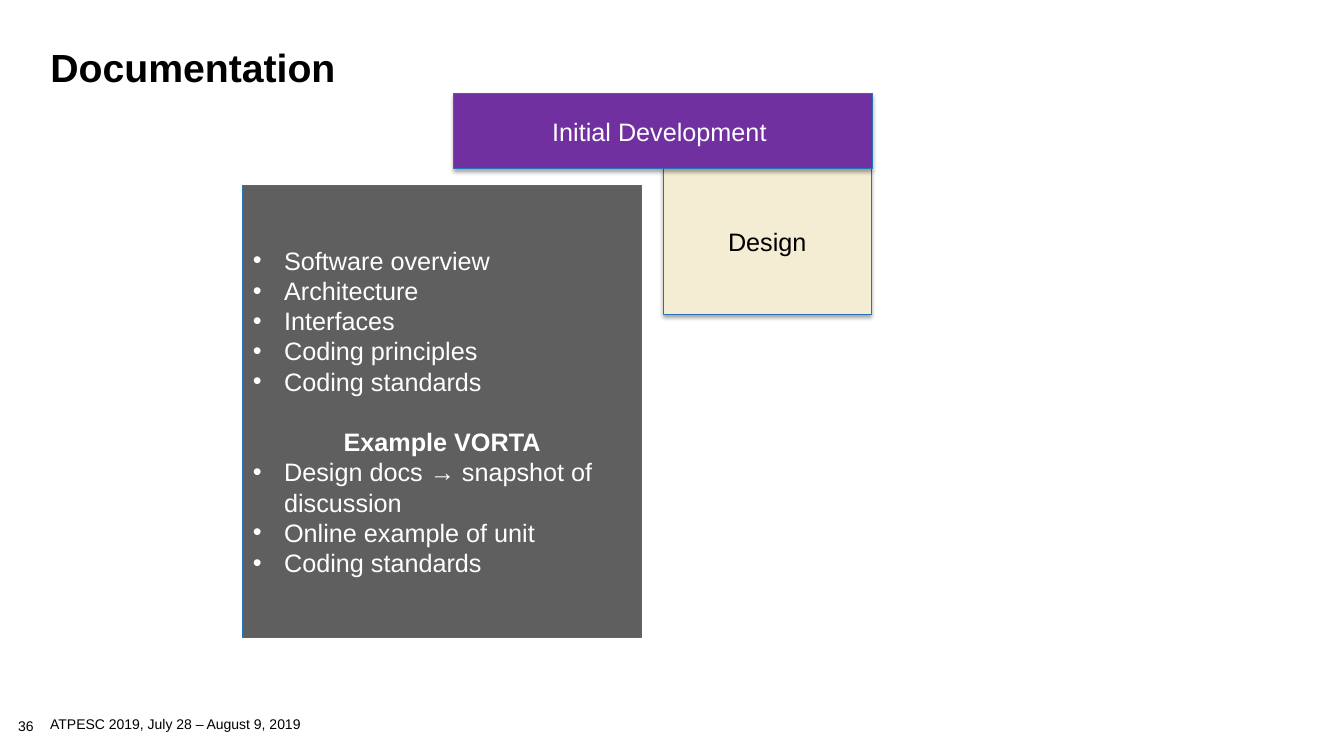
"""Build the Documentation slide."""
from dataclasses import dataclass

from lxml import etree
from pptx import Presentation
from pptx import util as u
from pptx.dml.color import RGBColor
from pptx.enum import shapes, text
from pptx.oxml.ns import qn


@dataclass(frozen=True)
class Theme:
    font: str = "Arial"
    black: str = "000000"
    white: str = "FFFFFF"
    cream: str = "F5ECD4"
    grey: str = "5F5F5F"
    purple: str = "7030A0"
    outline: str = "2673BA"
    title_size: float = 28
    body_size: float = 18
    footer_size: float = 10


T = Theme()


@dataclass(frozen=True)
class Para:
    text: str
    bullet: bool = False
    bold: bool = False
    gap: float = 0


@dataclass(frozen=True)
class Box:
    at: tuple[float, float, float, float]
    fill: str
    color: str
    paras: list[Para]
    shadow: bool = False


@dataclass(frozen=True)
class Footer:
    at: tuple[float, float, float, float]
    text: str
    inset: tuple[float, float]
    anchor: text.MSO_ANCHOR


def bullets(*items: str) -> list[Para]:
    """Turn strings into bulleted paragraphs."""
    return [Para(item, bullet=True) for item in items]


BOXES = [
    Box((6.58, 1.67, 2.06, 1.45), T.cream, T.black, [Para("Design")], shadow=True),
    Box((2.41, 1.84, 3.95, 4.48), T.grey, T.white, [
        *bullets("Software overview", "Architecture", "Interfaces",
                 "Coding principles", "Coding standards"),
        Para("Example VORTA", bold=True, gap=21.6),
        *bullets("Design docs → snapshot of discussion",
                 "Online example of unit", "Coding standards"),
    ]),
    Box((4.5, 0.93, 4.15, 0.74), T.purple, T.white,
        [Para("Initial Development ")], shadow=True),
]

FOOTERS = [
    Footer((0.18, 7.12, 0.56, 0.16), "36", (0, 0), text.MSO_ANCHOR.TOP),
    Footer((0.4, 7.08, 3.63, 0.2), "ATPESC 2019, July 28 – August 9, 2019",
           (0.1, 0.05), text.MSO_ANCHOR.MIDDLE),
]


def inches(at: tuple[float, ...]) -> list[u.Length]:
    """Convert numbers to lengths."""
    return [u.Inches(v) for v in at]


def set_frame(tf, inset: tuple[float, float], anchor: text.MSO_ANCHOR) -> None:
    """Set wrapping, margins and anchor of a text frame."""
    tf.word_wrap = True
    tf.auto_size = text.MSO_AUTO_SIZE.NONE
    tf.vertical_anchor = anchor
    tf.margin_left = tf.margin_right = u.Inches(inset[0])
    tf.margin_top = tf.margin_bottom = u.Inches(inset[1])


def add_run(p, content: str, size: float, color: str, bold: bool = False) -> None:
    """Append a formatted run to a paragraph."""
    r = p.add_run()
    r.text = content
    r.font.name = T.font
    r.font.size = u.Pt(size)
    r.font.bold = bold
    r.font.color.rgb = RGBColor.from_string(color)


def add_bullet(p) -> None:
    """Give a paragraph a hanging bullet."""
    pPr = p._p.get_or_add_pPr()
    pPr.set("marL", str(u.Inches(0.31)))
    pPr.set("indent", str(u.Inches(-0.31)))
    etree.SubElement(pPr, qn("a:buFont"), typeface=T.font)
    etree.SubElement(pPr, qn("a:buChar"), char="•")


def add_shadow(sp) -> None:
    """Add a soft shadow below a shape."""
    effects = sp._element.spPr.find(qn("a:effectLst"))
    shadow = etree.SubElement(effects, qn("a:outerShdw"), blurRad=str(u.Pt(3.1)),
                              dist=str(u.Pt(1.8)), dir="5400000", rotWithShape="0")
    color = etree.SubElement(shadow, qn("a:srgbClr"), val=T.black)
    etree.SubElement(color, qn("a:alpha"), val="35000")


def add_box(s, box: Box) -> None:
    """Draw a filled rectangle with its paragraphs."""
    sp = s.shapes.add_shape(shapes.MSO_SHAPE.RECTANGLE, *inches(box.at))
    sp.fill.solid()
    sp.fill.fore_color.rgb = RGBColor.from_string(box.fill)
    sp.line.color.rgb = RGBColor.from_string(T.outline)
    sp.line.width = u.Pt(0.75)
    sp.shadow.inherit = False
    if box.shadow:
        add_shadow(sp)
    tf = sp.text_frame
    set_frame(tf, (0.1, 0.05), text.MSO_ANCHOR.MIDDLE)
    for i, para in enumerate(box.paras):
        p = tf.add_paragraph() if i else tf.paragraphs[0]
        p.alignment = text.PP_ALIGN.LEFT if para.bullet else text.PP_ALIGN.CENTER
        p.space_before = u.Pt(para.gap)
        if para.bullet:
            add_bullet(p)
        add_run(p, para.text, T.body_size, box.color, para.bold)


def add_footer(s, footer: Footer) -> None:
    """Draw a small line of footer text."""
    tf = s.shapes.add_textbox(*inches(footer.at)).text_frame
    set_frame(tf, footer.inset, footer.anchor)
    p = tf.paragraphs[0]
    add_run(p, footer.text, T.footer_size, T.black)


def set_title(s, content: str) -> None:
    """Place and fill the title placeholder."""
    sp = s.shapes.title
    sp.left, sp.top, sp.width, sp.height = inches((0.4, 0.45, 12.44, 0.56))
    tf = sp.text_frame
    set_frame(tf, (0.1, 0.05), text.MSO_ANCHOR.TOP)
    p = tf.paragraphs[0]
    p.alignment = text.PP_ALIGN.LEFT
    p.line_spacing = 0.85
    add_run(p, content, T.title_size, T.black, bold=True)


def main() -> None:
    """Build and save the presentation."""
    prs = Presentation()
    prs.slide_width, prs.slide_height = inches((13.33, 7.5))
    s = prs.slides.add_slide(prs.slide_layouts[5])
    set_title(s, "Documentation")
    for footer in FOOTERS:
        add_footer(s, footer)
    for box in BOXES:
        add_box(s, box)
    prs.save("out.pptx")


if __name__ == "__main__":
    main()
